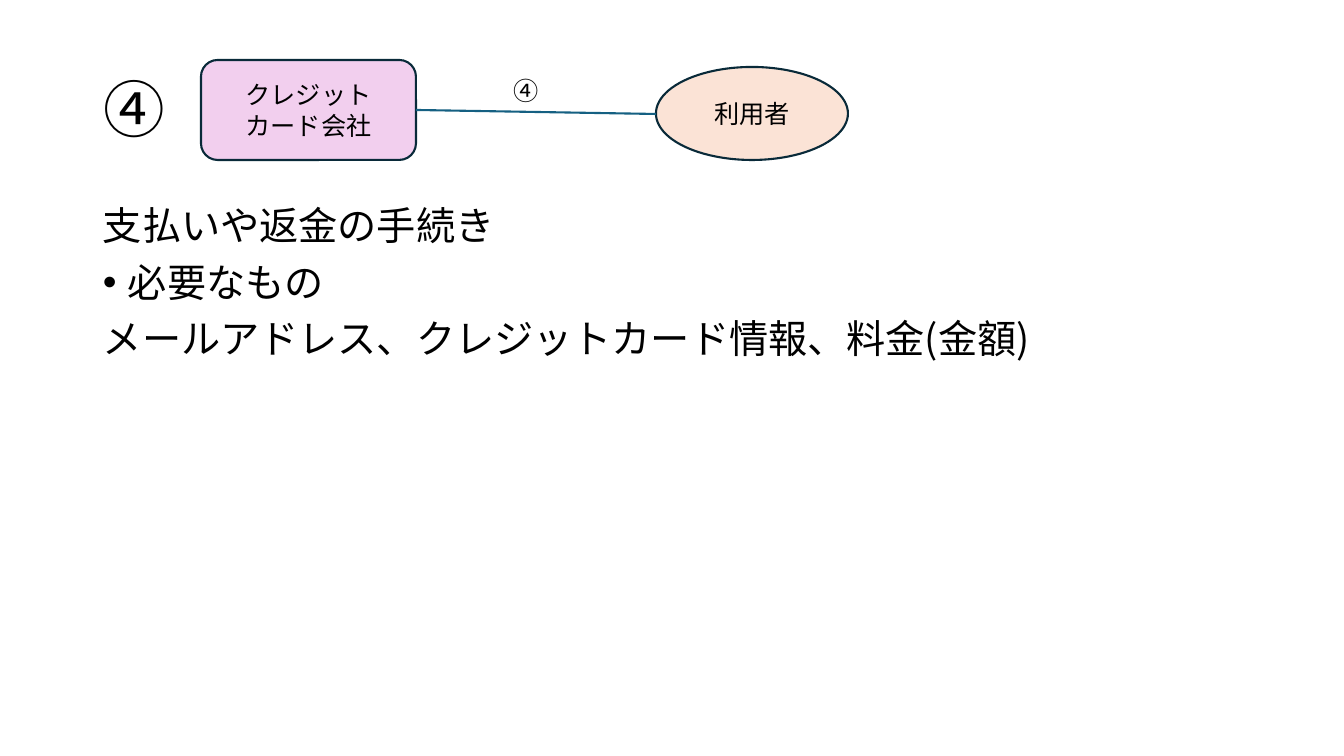
from lxml import etree
from pptx import Presentation
from pptx.dml.color import RGBColor
from pptx.enum.shapes import MSO_CONNECTOR, MSO_SHAPE
from pptx.enum.text import MSO_ANCHOR, MSO_AUTO_SIZE, PP_ALIGN
from pptx.oxml.ns import qn
from pptx.util import Emu, Pt

ELLIPSE, ROUNDED = MSO_SHAPE.OVAL, MSO_SHAPE.ROUNDED_RECTANGLE
STRAIGHT = MSO_CONNECTOR.STRAIGHT
TOP, MIDDLE = MSO_ANCHOR.TOP, MSO_ANCHOR.MIDDLE
LEFT, CENTER = PP_ALIGN.LEFT, PP_ALIGN.CENTER
NO_FIT = MSO_AUTO_SIZE.NONE
TITLE_ONLY = 5

EMU_PER_PX = 914400 / 100.8
COLORS = {
    "text": "000000",
    "company": "F2CFEE",
    "user": "FBE3D6",
    "outline": "092A39",
    "link": "156082",
}


def px(length):
    return Emu(round(length * EMU_PER_PX))


def color(name):
    return RGBColor.from_string(COLORS[name])


class SlideBuilder:
    font = "Noto Sans CJK JP"
    line_width = Pt(1.5)

    def __init__(self, slide):
        self.slide = slide

    def set_text(self, shape, lines, size, align=LEFT, anchor=TOP, spacing=None, before=0):
        frame = shape.text_frame
        frame.text = "\n".join(lines)
        frame.word_wrap = True
        frame.auto_size = NO_FIT
        frame.vertical_anchor = anchor
        for paragraph in frame.paragraphs:
            paragraph.alignment = align
            paragraph.space_before = Pt(before)
            if spacing:
                paragraph.line_spacing = spacing
            for run in paragraph.runs:
                run.font.size = Pt(size)
                run.font.color.rgb = color("text")
                run.font.name = self.font
                east_asian = etree.SubElement(run.font._element, qn("a:ea"))
                east_asian.set("typeface", self.font)

    def title(self, box, words, size):
        heading = self.slide.shapes.title
        heading.left, heading.top, heading.width, heading.height = map(px, box)
        self.set_text(heading, [words], size, anchor=MIDDLE, spacing=0.9)

    def text(self, box, lines, size, **style):
        area = self.slide.shapes.add_textbox(*map(px, box))
        self.set_text(area, lines, size, **style)
        return area.text_frame.paragraphs

    def bullet(self, paragraph, indent):
        properties = paragraph._p.get_or_add_pPr()
        properties.set("marL", str(px(indent)))
        properties.set("indent", str(-px(indent)))
        etree.SubElement(properties, qn("a:buFont")).set("typeface", "Arial")
        etree.SubElement(properties, qn("a:buChar")).set("char", "•")

    def node(self, kind, box, lines, fill):
        node = self.slide.shapes.add_shape(kind, *map(px, box))
        node.shadow.inherit = False
        node.fill.solid()
        node.fill.fore_color.rgb = color(fill)
        node.line.color.rgb = color("outline")
        node.line.width = self.line_width
        self.set_text(node, lines, 18, align=CENTER, anchor=MIDDLE)

    def link(self, start, end):
        link = self.slide.shapes.add_connector(STRAIGHT, *map(px, start + end))
        link.line.color.rgb = color("link")
        link.line.width = self.line_width
        etree.SubElement(link._element.spPr, qn("a:effectLst"))


def main():
    deck = Presentation()
    deck.slide_width, deck.slide_height = px(1344), px(756)
    builder = SlideBuilder(deck.slides.add_slide(deck.slide_layouts[TITLE_ONLY]))

    # Step number and its description
    builder.title((93, 40, 108, 146), "④", 44)
    description = builder.text(
        (93, 202, 1159, 480),
        ["支払いや返金の手続き", "必要なもの", "メールアドレス、クレジットカード情報、料金(金額)"],
        28, spacing=0.9, before=10,
    )
    builder.bullet(description[1], 25)

    # The two parties and the link between them
    builder.node(ELLIPSE, (656, 67, 192, 93), ["利用者"], "user")
    builder.node(ROUNDED, (201, 60, 215, 100), ["クレジット", "カード会社"], "company")
    builder.link((656, 114), (416, 110))
    builder.text((504, 70, 40, 40), ["④"], 18)

    deck.save("out.pptx")


if __name__ == "__main__":
    main()
